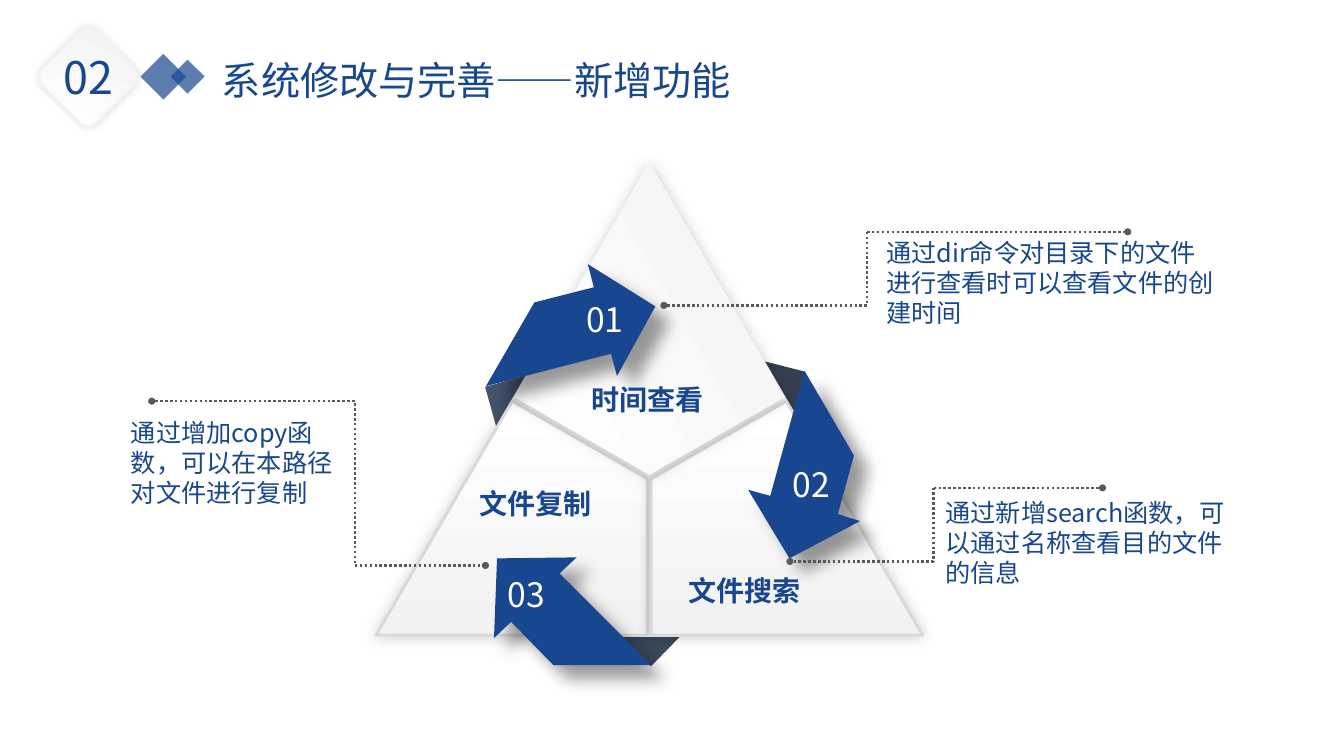
from lxml.etree import SubElement
from pptx import Presentation
from pptx.dml.color import RGBColor
from pptx.enum.dml import MSO_LINE
from pptx.enum.shapes import MSO_CONNECTOR, MSO_SHAPE
from pptx.enum.text import MSO_AUTO_SIZE as AUTO, PP_ALIGN as ALIGN
from pptx.oxml.ns import qn
from pptx.util import Inches, Pt

# Content: text and places in inches
TITLE = ("系统修改与完善——新增功能", (1.15, 0.51, 7.15, 0.57))
SECTION = ("02", (0.53, 0.44, 0.73, 0.64))
BADGE = (0.49, 0.38, 0.77, 0.77)
DIAMONDS = [(1.46, 0.6, 0.32), (1.74, 0.64, 0.24)]  # left, top, side
FOLDS = [  # left, top, rotation, colour
    (6.16, 6.32, 180, "3B485B"),
    (4.65, 3.76, 300, "44546A"),
    (7.57, 3.62, 60, "333F50"),
]
FACES = [  # corners, gradient angle, outlined
    ([(5.08, 3.98), (6.42, 4.75), (6.42, 6.3), (3.73, 6.3)], 270, True),
    ([(7.8, 3.98), (6.46, 4.75), (6.46, 6.3), (9.15, 6.3)], 270, True),
    ([(5.1, 3.94), (6.44, 4.71), (7.78, 3.94), (6.44, 1.61)], 30, False),
]
ARROWS = [  # number, its place, outline
    ("01", (5.57, 2.92), [(6.12, 3.73), (6.06, 3.51), (4.82, 3.83), (5.3, 3),
                          (5.89, 2.85), (5.83, 2.62), (6.5, 3.04)]),
    ("03", (4.79, 5.64), [(5.72, 5.53), (5.55, 5.69), (6.46, 6.6), (5.49, 6.6),
                          (5.07, 6.17), (4.9, 6.33), (4.93, 5.54)]),
    ("02", (7.62, 4.55), [(7.42, 4.86), (7.64, 4.92), (7.98, 3.68), (8.47, 4.52),
                          (8.31, 5.1), (8.53, 5.17), (7.83, 5.54)]),
]
LABELS = [
    ("时间查看", (5.77, 3.75, 1.42, 0.44)),
    ("文件复制", (4.66, 4.78, 1.86, 0.44)),
    ("文件搜索", (6.73, 5.64, 1.57, 0.44)),
]
CALLOUTS = [  # text, its box, start, bend x, end
    ("通过增加copy函数，可以在本路径对文件进行复制",
     (1.2, 4.09, 2.24, 1.01), (1.54, 3.98), 3.52, (4.78, 5.61)),
    ("通过dir命令对目录下的文件进行查看时可以查看文件的创建时间",
     (8.69, 2.3, 3.51, 1.01), (6.62, 3.03), 8.6, (11.15, 2.3)),
    ("通过新增search函数，可以通过名称查看目的文件的信息",
     (9.28, 4.88, 3.03, 1.01), (7.87, 5.57), 9.26, (10.9, 4.84)),
]

THEME = {
    "font": "Noto Sans CJK SC",
    "blue": "18478F", "white": "FFFFFF", "pale": "F2F2F2",
    "edge": "D9D9D9", "leader": "595959",
    "section": {"size": Pt(32)},
    "title": {"size": Pt(28)},
    "number": {"size": Pt(24)},
    "label": {"size": Pt(20), "bold": True},
    "body": {"size": Pt(18)},
    # opacity in percent, blur and distance in points, direction in degrees
    "face_shadow": (20, 10, 0, 0),
    "arrow_shadow": (40, 12, 14, 45),
    "badge_shadow": (11, 5, 0, 0),
}
DOT = 0.07

prs = Presentation()
prs.slide_width, prs.slide_height = Inches(13.33), Inches(7.5)
slide = prs.slides.add_slide(prs.slide_layouts[6])
shapes = slide.shapes


def color(name):
    return RGBColor.from_string(THEME.get(name, name))


def paint(shape, fill=None, angle=None, line=None, width=2, shadow=None):
    shape.shadow.inherit = False
    if angle is not None:
        shape.fill.gradient()
        shape.fill.gradient_angle = angle
        for stop, name in zip(shape.fill.gradient_stops, ("white", "pale")):
            stop.color.rgb = color(name)
    elif fill:
        shape.fill.solid()
        shape.fill.fore_color.rgb = color(fill)
    else:
        shape.fill.background()
    if line:
        shape.line.color.rgb = color(line)
        shape.line.width = Pt(width)
    else:
        shape.line.fill.background()
    if shadow:
        opacity, blur, distance, direction = shadow
        effects = shape._element.spPr.find(qn("a:effectLst"))
        outer = SubElement(effects, qn("a:outerShdw"), blurRad=str(Pt(blur)),
                           dist=str(Pt(distance)), dir=str(direction * 60000),
                           algn="ctr", rotWithShape="0")
        black = SubElement(outer, qn("a:srgbClr"), val="000000")
        SubElement(black, qn("a:alpha"), val=str(opacity * 1000))
    return shape


def preset(kind, box, rotation=0, **look):
    shape = shapes.add_shape(kind, *map(Inches, box))
    shape.rotation = rotation
    return paint(shape, **look)


def outline(points, close=True, **look):
    corners = [(Inches(x), Inches(y)) for x, y in points]
    builder = shapes.build_freeform(*corners[0])
    builder.add_line_segments(corners[1:], close=close)
    return paint(builder.convert_to_shape(), **look)


def write(text, box, style, ink="blue", align=None, wrap=True):
    frame = shapes.add_textbox(*map(Inches, box)).text_frame
    frame.word_wrap = wrap
    frame.auto_size = AUTO.SHAPE_TO_FIT_TEXT
    paragraph = frame.paragraphs[0]
    paragraph.alignment = align
    run = paragraph.add_run()
    run.text = text
    for key, value in {"name": THEME["font"], **THEME[style]}.items():
        setattr(run.font, key, value)
    run.font.color.rgb = color(ink)
    SubElement(run.font._element, qn("a:ea"), typeface=THEME["font"])


# Folds behind the triangle
for left, top, rotation, shade in FOLDS:
    fold = preset(MSO_SHAPE.ISOSCELES_TRIANGLE, (left, top, 0.58, 0.29), rotation, fill=shade)
    fold.adjustments[0] = 0.49

# Three faces of the triangle
for corners, angle, outlined in FACES:
    outline(corners, angle=angle, line="edge" if outlined else None,
            shadow=THEME["face_shadow"])

# Numbered arrows
for number, place, corners in ARROWS:
    outline(corners, fill="blue", shadow=THEME["arrow_shadow"])
    write(number, (*place, 0.86, 0.5), "number", "white", ALIGN.CENTER)

# Face labels
for label, box in LABELS:
    write(label, box, "label")

# Callouts with dotted leaders
for text, box, start, bend, end in CALLOUTS:
    corner = (bend, end[1])
    leader = outline([start, (bend, start[1]), corner], close=False,
                     line="leader", width=1.75)
    tail = shapes.add_connector(MSO_CONNECTOR.STRAIGHT, *map(Inches, corner + end))
    tail.line.color.rgb = color("leader")
    tail.line.width = Pt(1.75)
    SubElement(tail._element.spPr, qn("a:effectLst"))
    for part in (leader, tail):
        part.line.dash_style = MSO_LINE.ROUND_DOT
    for left, y in ((start[0] - DOT, start[1]), end):
        preset(MSO_SHAPE.OVAL, (left, y - DOT / 2, DOT, DOT), fill="leader")
    write(text, box, "body")

# Header
for left, top, side in DIAMONDS:
    diamond = preset(MSO_SHAPE.RECTANGLE, (left, top, side, side), 225, fill="blue")
    tint = diamond._element.spPr.find(qn("a:solidFill"))[0]
    SubElement(tint, qn("a:alpha"), val="70000")
write(*TITLE, "title", align=ALIGN.CENTER)
preset(MSO_SHAPE.ROUNDED_RECTANGLE, BADGE, 45, angle=110, line="pale",
       shadow=THEME["badge_shadow"])
write(*SECTION, "section", wrap=False)

prs.save("out.pptx")
